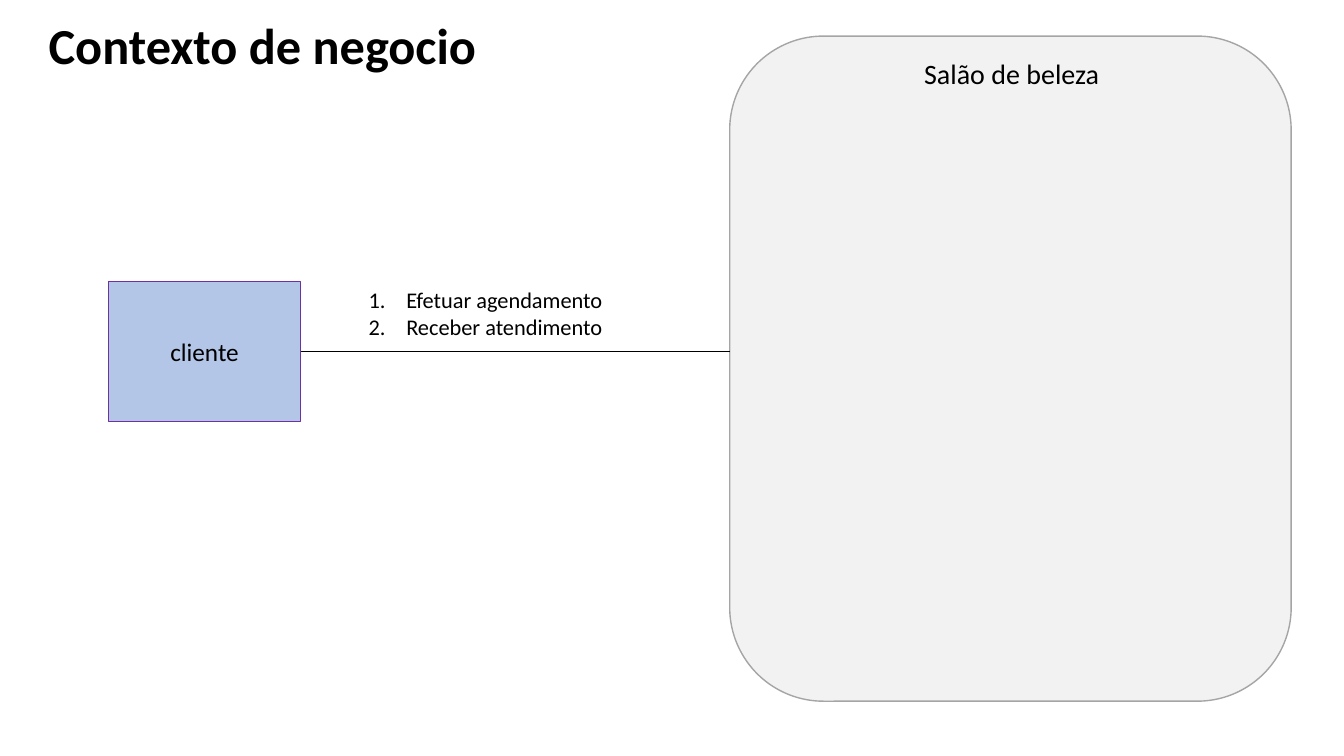
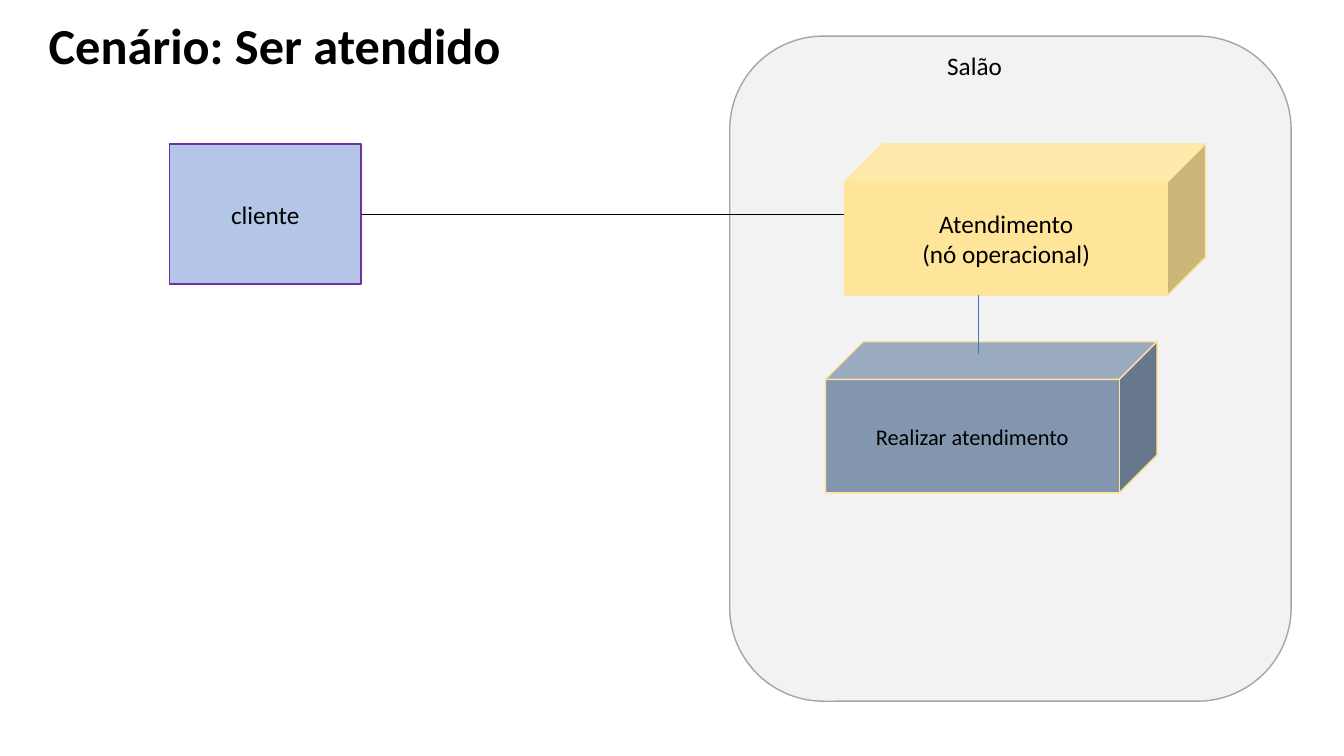
import pptx
import pptx.dml.color
import pptx.enum.shapes
import pptx.enum.text
import pptx.oxml.ns
import pptx.util
from lxml import etree

Cm = pptx.util.Cm
Pt = pptx.util.Pt
Shapes = pptx.enum.shapes.MSO_SHAPE
Anchor = pptx.enum.text.MSO_ANCHOR
Align = pptx.enum.text.PP_ALIGN
qn = pptx.oxml.ns.qn


def colour(value):
    return pptx.dml.color.RGBColor.from_string(value)


class Diagram:
    """Builds context diagrams in one shared style."""

    FONT = "Calibri"
    INK = "000000"
    PANEL, PANEL_EDGE = "F2F2F2", "A5A5A5"
    CLIENT, CLIENT_EDGE = "B3C6E7", "7030A0"
    NODE, ACTIVITY = "FEE599", "8296B0"
    LINK = "4472C4"
    SALON_LEFT = 18.39
    CLIENT_WIDTH, CLIENT_HEIGHT = 4.83, 3.53
    CUBE_HEIGHT = 3.81

    def __init__(self):
        self.deck = pptx.Presentation()
        self.deck.slide_width = Cm(33.87)
        self.deck.slide_height = Cm(19.05)
        self.page = None

    def set_text(self, shape, text, size, align=Align.LEFT, anchor=Anchor.TOP, bold=False):
        frame = shape.text_frame
        frame.text = text
        frame.word_wrap = True
        frame.auto_size = pptx.enum.text.MSO_AUTO_SIZE.NONE
        frame.vertical_anchor = anchor
        for para in frame.paragraphs:
            para.alignment = align
            for span in para.runs:
                span.font.name = self.FONT
                span.font.size = Pt(size)
                span.font.bold = bold
                span.font.color.rgb = colour(self.INK)

    def add_page(self, title):
        self.page = self.deck.slides.add_slide(self.deck.slide_layouts[5])
        heading = self.page.shapes.title
        heading.left, heading.top = Cm(0.97), Cm(0.23)
        heading.width, heading.height = Cm(17.4), Cm(1.8)
        self.set_text(heading, title, 36, bold=True)

    def shape(self, kind, left, top, width, height, fill, edge):
        shape = self.page.shapes.add_shape(kind, Cm(left), Cm(top), Cm(width), Cm(height))
        shape.shadow.inherit = False
        shape.fill.solid()
        shape.fill.fore_color.rgb = colour(fill)
        shape.line.color.rgb = colour(edge)
        shape.line.width = Pt(1)
        return shape

    def label(self, text, left, top, width, height, size):
        box = self.page.shapes.add_textbox(Cm(left), Cm(top), Cm(width), Cm(height))
        self.set_text(box, text, size)
        return box

    def numbered_list(self, items, left, top, width, height):
        box = self.label("\n".join(items), left, top, width, height, 16)
        for para in box.text_frame.paragraphs:
            properties = para._p.get_or_add_pPr()
            properties.set("marL", str(Cm(0.95)))
            properties.set("indent", str(-Cm(0.95)))
            etree.SubElement(properties, qn("a:buFont"), typeface="+mj-lt")
            etree.SubElement(properties, qn("a:buAutoNum"), type="arabicPeriod")

    def line(self, start, end, tint=INK):
        ends = [Cm(value) for value in (*start, *end)]
        connector = self.page.shapes.add_connector(
            pptx.enum.shapes.MSO_CONNECTOR.STRAIGHT, *ends)
        connector.line.color.rgb = colour(tint)
        connector.line.width = Pt(0.75)
        etree.SubElement(connector._element.spPr, qn("a:effectLst"))

    def salon(self):
        panel = self.shape(Shapes.ROUNDED_RECTANGLE, self.SALON_LEFT, 0.91, 14.15, 16.76,
                           self.PANEL, self.PANEL_EDGE)
        panel.adjustments[0] = 0.167

    def client(self, left, top, link_end):
        middle = top + self.CLIENT_HEIGHT / 2
        self.line((link_end, middle), (left + self.CLIENT_WIDTH, middle))
        box = self.shape(Shapes.RECTANGLE, left, top, self.CLIENT_WIDTH, self.CLIENT_HEIGHT,
                         self.CLIENT, self.CLIENT_EDGE)
        self.set_text(box, "cliente", 18, Align.CENTER, Anchor.MIDDLE)

    def cube(self, text, left, top, width, fill, size):
        cube = self.shape(Shapes.CUBE, left, top, width, self.CUBE_HEIGHT, fill, self.NODE)
        cube.adjustments[0] = 0.25
        self.set_text(cube, text, size, Align.CENTER, Anchor.MIDDLE)


diagram = Diagram()

diagram.add_page("Contexto de negocio")
diagram.salon()
diagram.client(2.74, 7.09, diagram.SALON_LEFT)
diagram.label("Salão de beleza", 23.04, 1.3, 5.77, 1.12, 20)
diagram.numbered_list(["Efetuar agendamento", "Receber atendimento"], 9.04, 7.09, 9.63, 5.13)

node_left, node_top = 21.29, 3.63
diagram.add_page("Cenário: Ser atendido")
diagram.salon()
diagram.client(4.27, node_top, node_left)
diagram.label("Salão", 23.62, 1.14, 4.65, 1.02, 18)
diagram.cube("Atendimento\n(nó operacional)", node_left, node_top, 9.09, diagram.NODE, 18)
diagram.cube("Realizar atendimento", 20.8, 8.61, 8.36, diagram.ACTIVITY, 16)
diagram.line((24.66, node_top + diagram.CUBE_HEIGHT), (24.66, 8.92), diagram.LINK)

diagram.deck.save("out.pptx")
